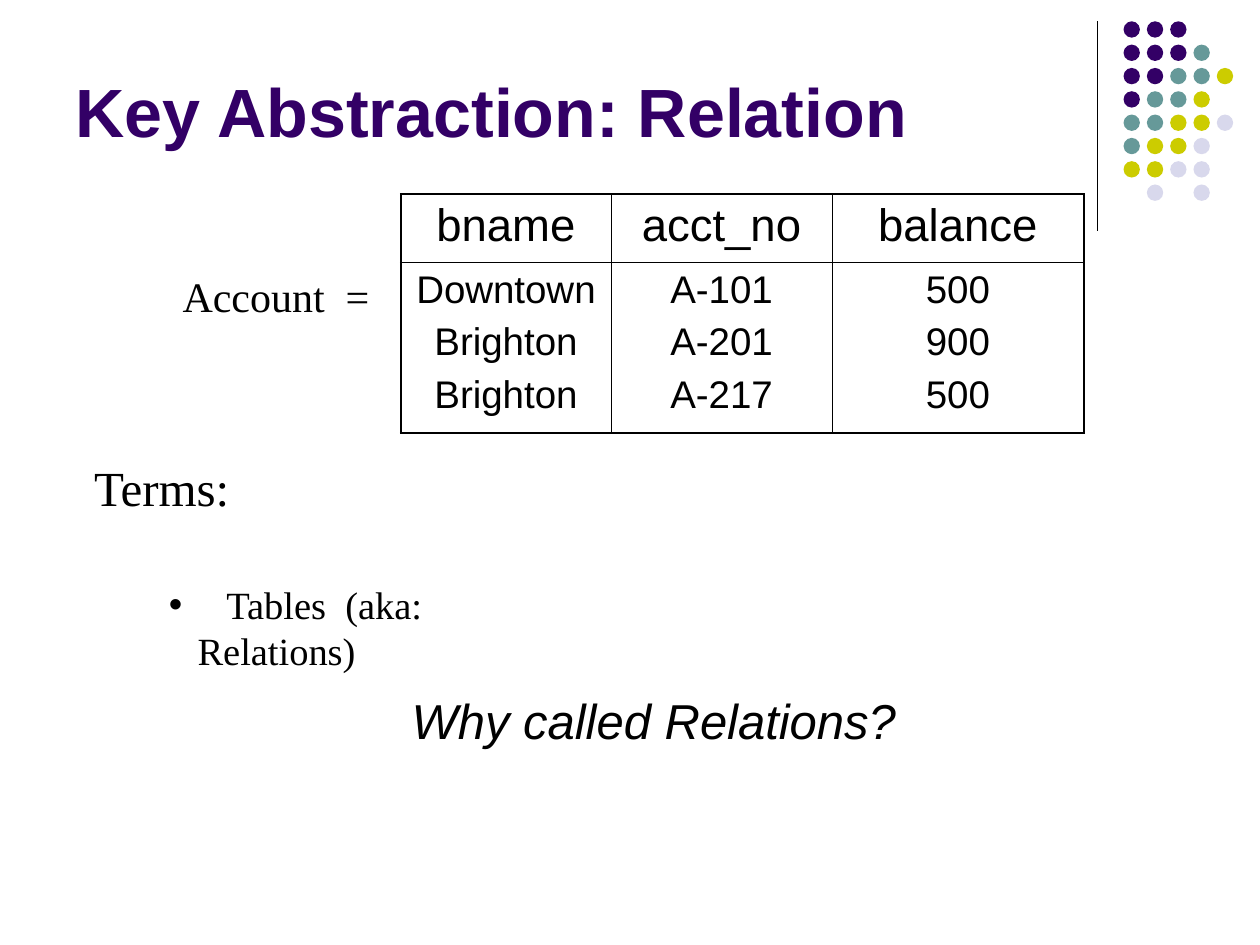
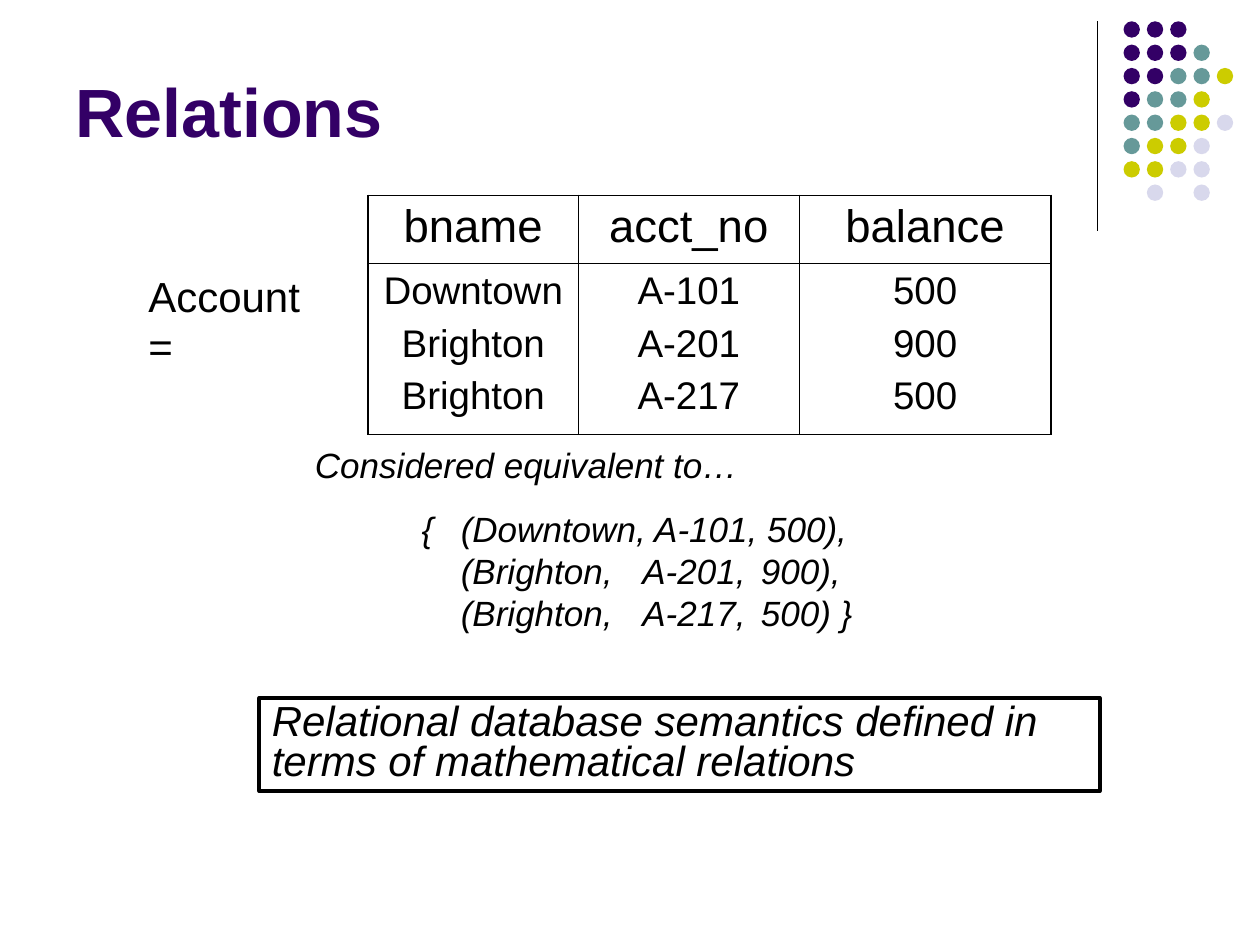
"""Build two slides about relations as the key abstraction of databases."""
from dataclasses import dataclass

from lxml.etree import SubElement
from pptx import Presentation
from pptx.dml.color import RGBColor
from pptx.enum.shapes import MSO_CONNECTOR, MSO_SHAPE
from pptx.enum.text import MSO_ANCHOR, MSO_AUTO_SIZE, PP_ALIGN
from pptx.oxml.ns import qn
from pptx.util import Cm, Pt

BLACK = RGBColor(0x00, 0x00, 0x00)
PURPLE = RGBColor(0x33, 0x00, 0x66)
TEAL = RGBColor(0x66, 0x99, 0x99)
YELLOW = RGBColor(0xCC, 0xCC, 0x00)
LILAC = RGBColor(0xD8, 0xD8, 0xEC)
SANS, SERIF = "Arial", "Times New Roman"

DOT_COLORS = {"P": PURPLE, "T": TEAL, "Y": YELLOW, "L": LILAC}
DOT_ROWS = ("PPP", "PPPT", "PPTTY", "PTTY", "TTYYL", "TYYL", "YYLL", " L L")
DOT_SIZE, DOT_PITCH = 0.33, 0.47

ACCOUNT_COLUMNS = {
    "bname": ("Downtown", "Brighton", "Brighton"),
    "acct_no": ("A-101", "A-201", "A-217"),
    "balance": ("500", "900", "500"),
}
COLUMN_WIDTHS = (4.24, 4.45, 5.08)
ROW_HEIGHTS = (1.37, 3.45)
THICK, THIN = Pt(1.08), Pt(0.45)


@dataclass(frozen=True)
class Box:
    """Place of an element, in centimetres."""
    x: float
    y: float
    w: float
    h: float

    def lengths(self) -> tuple:
        return Cm(self.x), Cm(self.y), Cm(self.w), Cm(self.h)


@dataclass(frozen=True)
class Label:
    """A text box with its lines and look."""
    box: Box
    lines: tuple
    size: float
    font: str = SANS
    italic: bool = False
    wrap: bool = False
    tabs: tuple = ()


TITLE_BOX = Box(1.27, 0.33, 20.96, 2.84)
LIST_BOX = Box(3.15, 11.58, 8.74, 1.19)
SUMMARY_BOX = Box(5.23, 14.07, 16.94, 1.88)

ABSTRACTION_LABELS = (
    Label(Box(3.43, 5.33, 4.27, 1.27), ("Account  =",), 24, SERIF),
    Label(Box(1.65, 9.09, 3.3, 1.45), ("Terms:",), 28, SERIF),
    Label(Box(8.05, 13.79, 10.26, 1.45), ("Why called Relations?",), 28, italic=True),
)
RELATION_LABELS = (
    Label(Box(2.74, 5.33, 4.52, 1.27), ("Account  =",), 24),
    Label(Box(6.1, 8.81, 9.04, 1.12), ("Considered equivalent to…",), 20, italic=True),
    Label(Box(6.5, 10.11, 13.64, 2.79),
          ("\t{\t(Downtown, A-101, 500),",
           "\t\t(Brighton,\tA-201,\t900),",
           "\t\t(Brighton,\tA-217,\t500) }"),
          20, italic=True, wrap=True, tabs=(1.75, 2.54, 6.2, 8.59)),
)


def write(tf, lines, *, size, font=SANS, color=BLACK, bold=False, italic=False,
          align=PP_ALIGN.LEFT, gap=0, spacing=None, hang=0, tabs=()) -> None:
    """Fill a text frame with one paragraph per line."""
    for i, line in enumerate(lines):
        p = tf.add_paragraph() if i else tf.paragraphs[0]
        p.alignment = align
        p.space_before = Pt(gap if i else 0)
        if spacing:
            p.line_spacing = spacing
        pPr = p._p.get_or_add_pPr()
        if hang:
            pPr.set("marL", str(Cm(hang)))
            pPr.set("indent", str(-Cm(hang)))
        if tabs:
            stops = SubElement(pPr, qn("a:tabLst"))
            for pos in tabs:
                SubElement(stops, qn("a:tab"), pos=str(Cm(pos)), algn="l")
        r = p.add_run()
        r.text = line
        r.font.size, r.font.name = Pt(size), font
        r.font.bold, r.font.italic = bold, italic
        r.font.color.rgb = color


def place(sp, box: Box) -> None:
    """Move and size a placeholder."""
    sp.left, sp.top, sp.width, sp.height = box.lengths()


def add_decoration(slide) -> None:
    """Draw the vertical rule and the dot pattern."""
    rule = slide.shapes.add_connector(
        MSO_CONNECTOR.STRAIGHT, Cm(22.12), Cm(0.43), Cm(22.12), Cm(4.65))
    rule.line.color.rgb, rule.line.width = BLACK, Pt(0.75)
    SubElement(rule._element.spPr, qn("a:effectLst"))
    for row, codes in enumerate(DOT_ROWS):
        for col, code in enumerate(codes):
            if code in DOT_COLORS:
                box = Box(22.65 + col * DOT_PITCH, 0.43 + row * DOT_PITCH, DOT_SIZE, DOT_SIZE)
                dot = slide.shapes.add_shape(MSO_SHAPE.OVAL, *box.lengths())
                dot.shadow.inherit = False
                dot.fill.solid()
                dot.fill.fore_color.rgb = DOT_COLORS[code]
                dot.line.fill.background()


def add_slide(prs, layout: int, title: str):
    """Add a slide with its title and decoration."""
    slide = prs.slides.add_slide(prs.slide_layouts[layout])
    sp = slide.shapes.title
    place(sp, TITLE_BOX)
    tf = sp.text_frame
    tf.auto_size, tf.vertical_anchor = MSO_AUTO_SIZE.NONE, MSO_ANCHOR.BOTTOM
    write(tf, (title,), size=39, color=PURPLE, bold=True)
    add_decoration(slide)
    return slide


def add_label(slide, label: Label) -> None:
    """Draw one text box."""
    tf = slide.shapes.add_textbox(*label.box.lengths()).text_frame
    tf.word_wrap = label.wrap
    write(tf, label.lines, size=label.size, font=label.font,
          italic=label.italic, tabs=label.tabs)


def set_borders(cell, **widths) -> None:
    """Give a cell solid black borders, in the order L, R, T, B."""
    tcPr = cell._tc.get_or_add_tcPr()
    for side, width in widths.items():
        ln = SubElement(tcPr, qn(f"a:ln{side}"), w=str(width))
        fill = SubElement(ln, qn("a:solidFill"))
        SubElement(fill, qn("a:srgbClr"), val=str(BLACK))


def add_account_table(slide, x: float, y: float) -> None:
    """Draw the account relation with a thick outline."""
    box = Box(x, y, sum(COLUMN_WIDTHS), sum(ROW_HEIGHTS))
    table = slide.shapes.add_table(2, len(ACCOUNT_COLUMNS), *box.lengths()).table
    table.first_row = table.horz_banding = False
    for row, height in zip(table.rows, ROW_HEIGHTS):
        row.height = Cm(height)
    last = len(ACCOUNT_COLUMNS) - 1
    for col, (name, values) in enumerate(ACCOUNT_COLUMNS.items()):
        table.columns[col].width = Cm(COLUMN_WIDTHS[col])
        for row, (lines, size) in enumerate((((name,), 26), (values, 22))):
            cell = table.cell(row, col)
            write(cell.text_frame, lines, size=size, align=PP_ALIGN.CENTER, gap=5.5)
            set_borders(cell,
                        L=THIN if col else THICK,
                        R=THICK if col == last else THIN,
                        T=THIN if row else THICK,
                        B=THICK if row else THIN)
            cell.fill.background()


def add_terms_list(slide) -> None:
    """Write the bulleted term in the body placeholder."""
    sp = slide.placeholders[1]
    place(sp, LIST_BOX)
    tf = sp.text_frame
    tf.auto_size, tf.word_wrap = MSO_AUTO_SIZE.NONE, True
    write(tf, ("\tTables  (aka: Relations)",), size=22, font=SERIF,
          hang=0.58, tabs=(0.58, 1.16))


def add_summary(slide) -> None:
    """Draw the framed closing statement."""
    sp = slide.shapes.add_shape(MSO_SHAPE.RECTANGLE, *SUMMARY_BOX.lengths())
    sp.shadow.inherit = False
    sp.fill.background()
    sp.line.color.rgb, sp.line.width = BLACK, Pt(2.25)
    tf = sp.text_frame
    tf.word_wrap, tf.vertical_anchor = True, MSO_ANCHOR.TOP
    write(tf, ("Relational database semantics defined in terms of mathematical relations",),
          size=24, italic=True, spacing=0.8)


def main() -> None:
    """Build and save the presentation."""
    prs = Presentation()
    prs.slide_width, prs.slide_height = Cm(25.4), Cm(19.05)

    slide = add_slide(prs, 1, "Key Abstraction: Relation")
    add_account_table(slide, 8.08, 3.91)
    add_terms_list(slide)
    for label in ABSTRACTION_LABELS:
        add_label(slide, label)

    slide = add_slide(prs, 5, "Relations")
    add_account_table(slide, 7.42, 3.94)
    add_summary(slide)
    for label in RELATION_LABELS:
        add_label(slide, label)

    prs.save("out.pptx")


if __name__ == "__main__":
    main()
